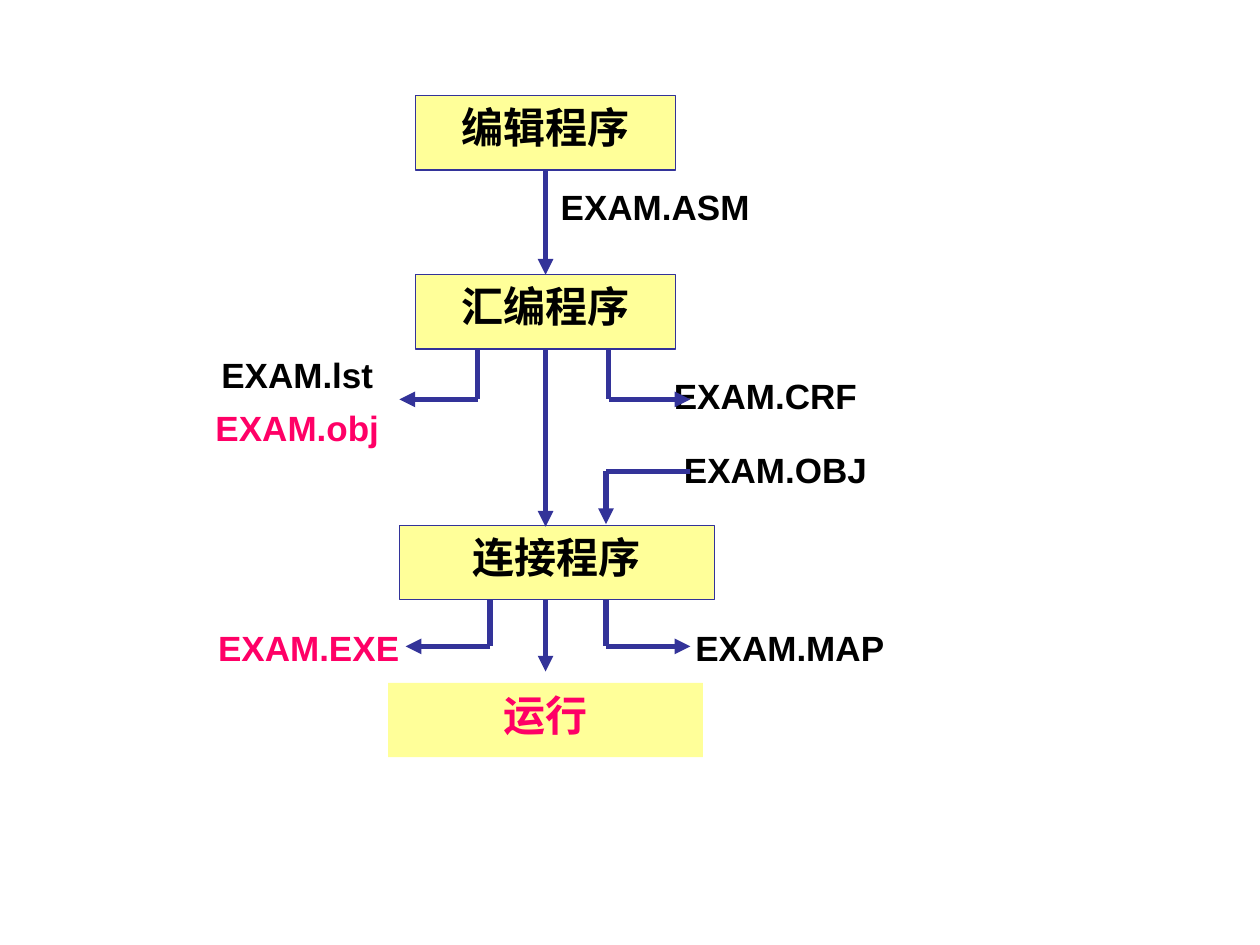
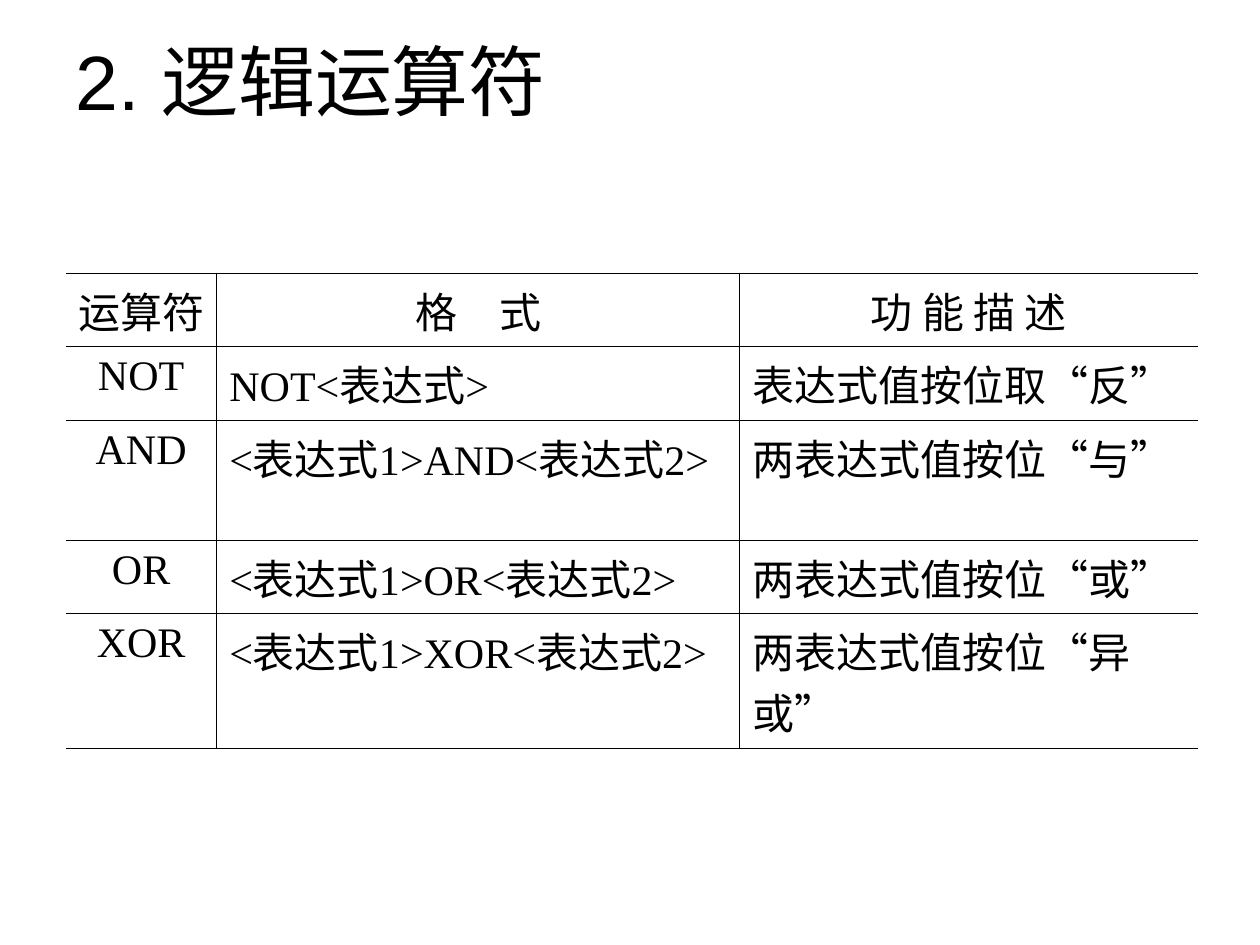
from dataclasses import dataclass

from lxml import etree
from pptx import Presentation
from pptx import util as u
from pptx.dml.color import RGBColor
from pptx.enum import shapes, text
from pptx.oxml import ns


@dataclass(frozen=True)
class Theme:
    ink: str = "000000"
    accent: str = "FF0066"
    box: str = "FFFF99"
    line: str = "333399"
    sans: str = "Arial"
    serif: str = "Times New Roman"
    chinese: str = "Noto Sans CJK SC"
    title_size: float = 44
    body_size: float = 24
    label_size: float = 20
    arrow_width: float = 3
    box_line: float = 0.75
    thin_rule: float = 0.45
    thick_rule: float = 1.08


THEME = Theme()
CENTER, LEFT = text.PP_ALIGN.CENTER, text.PP_ALIGN.LEFT

# Program boxes: text, left, top, width, text colour, outlined
BOX_HEIGHT = 0.59
PROGRAMS = {
    "edit": ("编辑程序", 3.3, 0.76, 2.06, THEME.ink, True),
    "assemble": ("汇编程序", 3.3, 2.18, 2.06, THEME.ink, True),
    "link": ("连接程序", 3.17, 4.17, 2.5, THEME.ink, True),
    "run": ("运行", 3.08, 5.42, 2.5, THEME.accent, False),
}

# File labels: text, left, top, width, alignment, colour
LABEL_HEIGHT = 0.57
FILES = [
    ("EXAM.ASM", 4.17, 1.42, 2.06, CENTER, THEME.ink),
    ("EXAM.CRF", 5.25, 2.92, 2.13, LEFT, THEME.ink),
    ("EXAM.OBJ", 5.33, 3.51, 2.47, LEFT, THEME.ink),
    ("EXAM.lst", 1.33, 2.76, 2.06, CENTER, THEME.ink),
    ("EXAM.obj", 1.33, 3.18, 2.06, CENTER, THEME.accent),
    ("EXAM.MAP", 5.42, 4.92, 2.06, LEFT, THEME.ink),
    ("EXAM.EXE", 1.42, 4.92, 2.06, CENTER, THEME.accent),
]

# Each flow runs through its points and ends in an arrowhead
AXIS = 4.33
FLOWS = [
    [(3.79, 2.77), (3.79, 3.17), (3.17, 3.17)],
    [(4.83, 2.77), (4.83, 3.17), (5.48, 3.17)],
    [(5.48, 3.74), (4.81, 3.74), (4.81, 4.16)],
    [(AXIS, 4.76), (AXIS, 5.33)],
    [(4.81, 4.76), (4.81, 5.13), (5.48, 5.13)],
    [(3.89, 4.76), (3.89, 5.13), (3.22, 5.13)],
]

TITLE = "2. 逻辑运算符"
OPERATORS = [
    ("运算符", "格　式", "功 能 描 述"),
    ("NOT", "NOT<表达式>", "表达式值按位取“反”"),
    ("AND", "<表达式1>AND<表达式2>", "两表达式值按位“与”"),
    ("OR", "<表达式1>OR<表达式2>", "两表达式值按位“或”"),
    ("XOR", "<表达式1>XOR<表达式2>", "两表达式值按位“异或”"),
]
COLUMN_WIDTHS = [1.2, 4.15, 3.64]
ROW_HEIGHTS = [0.58, 0.59, 0.95, 0.58, 1.07]


def rgb(value):
    return RGBColor.from_string(value)


def write(frame, words, *, size, font=THEME.sans, color=THEME.ink,
          bold=False, align=LEFT, anchor=text.MSO_ANCHOR.TOP):
    frame.word_wrap = True
    frame.vertical_anchor = anchor
    paragraph = frame.paragraphs[0]
    paragraph.alignment = align
    run = paragraph.add_run()
    run.text = words
    run.font.size = u.Pt(size)
    run.font.bold = bold
    run.font.color.rgb = rgb(color)
    run.font.name = font
    east_asian = etree.SubElement(run.font._element, ns.qn("a:ea"))
    east_asian.set("typeface", THEME.chinese)


def add_text(slide, words, left, top, width, height, **style):
    area = slide.shapes.add_textbox(*map(u.Inches, (left, top, width, height)))
    write(area.text_frame, words, **style)


def add_program(slide, words, left, top, width, color, outlined):
    program = slide.shapes.add_shape(
        shapes.MSO_SHAPE.RECTANGLE,
        *map(u.Inches, (left, top, width, BOX_HEIGHT)))
    program.shadow.inherit = False
    program.fill.solid()
    program.fill.fore_color.rgb = rgb(THEME.box)
    if outlined:
        program.line.color.rgb = rgb(THEME.line)
        program.line.width = u.Pt(THEME.box_line)
    else:
        program.line.fill.background()
    write(program.text_frame, words, size=THEME.body_size, font=THEME.chinese,
          color=color, bold=True, align=CENTER)
    return program


def add_leg(slide, start, end, arrow):
    leg = slide.shapes.add_connector(
        shapes.MSO_CONNECTOR.STRAIGHT, *map(u.Inches, (*start, *end)))
    leg.line.color.rgb = rgb(THEME.line)
    leg.line.width = u.Pt(THEME.arrow_width)
    if arrow:
        etree.SubElement(leg.line._get_or_add_ln(), ns.qn("a:tailEnd"),
                         type="triangle")
    etree.SubElement(leg._element.spPr, ns.qn("a:effectLst"))
    return leg


def rule_cell(cell, widths):
    """Set left, right, top and bottom rules; a width of 0 hides the rule."""
    properties = cell._tc.get_or_add_tcPr()
    for place, (side, width) in enumerate(zip("LRTB", widths)):
        edge = etree.Element(ns.qn(f"a:ln{side}"), w=str(u.Pt(width)))
        if width:
            fill = etree.SubElement(edge, ns.qn("a:solidFill"))
            etree.SubElement(fill, ns.qn("a:srgbClr"), val=THEME.ink)
        else:
            etree.SubElement(edge, ns.qn("a:noFill"))
        properties.insert(place, edge)


def build_flowchart(slide):
    programs = {key: add_program(slide, *row) for key, row in PROGRAMS.items()}
    for words, left, top, width, align, color in FILES:
        add_text(slide, words, left, top, width, LABEL_HEIGHT,
                 size=THEME.label_size, bold=True, align=align, color=color)

    to_assembler = add_leg(slide, (AXIS, 1.35), (AXIS, 2.18), True)
    to_assembler.begin_connect(programs["edit"], 2)
    to_assembler.end_connect(programs["assemble"], 0)
    to_linker = add_leg(slide, (AXIS, 2.77), (AXIS, 4.18), True)
    to_linker.begin_connect(programs["assemble"], 2)

    for points in FLOWS:
        for start, end in zip(points, points[1:]):
            add_leg(slide, start, end, arrow=end == points[-1])


def build_operators(slide):
    add_text(slide, TITLE, 0.5, 0.12, 9, 1.03, size=THEME.title_size,
             anchor=text.MSO_ANCHOR.MIDDLE)
    rows, columns = len(OPERATORS), len(COLUMN_WIDTHS)
    table = slide.shapes.add_table(
        rows, columns, u.Inches(0.52), u.Inches(2.17),
        u.Inches(sum(COLUMN_WIDTHS)), u.Inches(sum(ROW_HEIGHTS))).table
    table.first_row = table.horz_banding = False
    for column, width in zip(table.columns, COLUMN_WIDTHS):
        column.width = u.Inches(width)
    for row, height in zip(table.rows, ROW_HEIGHTS):
        row.height = u.Inches(height)

    thin, thick = THEME.thin_rule, THEME.thick_rule
    rules = [thick] + [thin] * (rows - 1) + [thick]
    for r, entries in enumerate(OPERATORS):
        for c, words in enumerate(entries):
            cell = table.cell(r, c)
            cell.fill.background()
            rule_cell(cell, (thin if c else 0, thin if c < columns - 1 else 0,
                             rules[r], rules[r + 1]))
            write(cell.text_frame, words, size=THEME.body_size,
                  font=THEME.serif,
                  align=CENTER if r == 0 or c == 0 else LEFT)


def main():
    deck = Presentation()
    deck.slide_width, deck.slide_height = u.Inches(10), u.Inches(7.5)
    for build in (build_flowchart, build_operators):
        build(deck.slides.add_slide(deck.slide_layouts[6]))
    deck.save("out.pptx")


if __name__ == "__main__":
    main()
